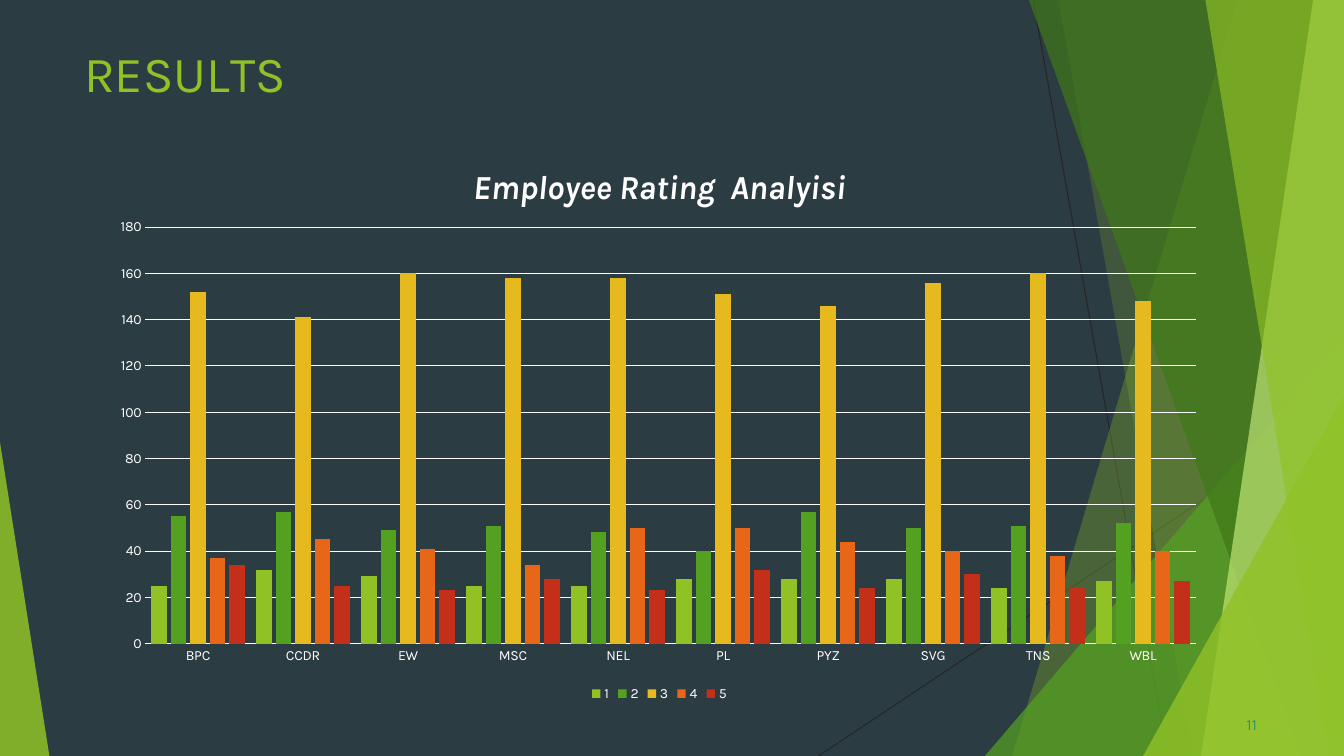
from lxml import etree
from pptx import Presentation
from pptx.chart.data import CategoryChartData
from pptx.dml.color import RGBColor
from pptx.enum.chart import XL_CHART_TYPE, XL_LEGEND_POSITION, XL_TICK_MARK
from pptx.enum.shapes import MSO_CONNECTOR, MSO_SHAPE
from pptx.enum.text import MSO_ANCHOR, PP_ALIGN
from pptx.oxml import parse_xml
from pptx.oxml.ns import nsdecls, qn
from pptx.util import Pt

COLUMNS = XL_CHART_TYPE.COLUMN_CLUSTERED
BOTTOM = XL_LEGEND_POSITION.BOTTOM
NO_TICK = XL_TICK_MARK.NONE
STRAIGHT = MSO_CONNECTOR.STRAIGHT
TRIANGLE = MSO_SHAPE.ISOSCELES_TRIANGLE
TOP = MSO_ANCHOR.TOP
LEFT = PP_ALIGN.LEFT

WIDTH, HEIGHT = 960, 540
FONT = "Karla"
COLORS = {
    "slate": "2C3C43", "ink": "262626", "white": "FFFFFF", "teal": "2D936B",
    "lime": "90C226", "green": "54A021", "forest": "3F7819", "pale": "C0E474",
    "gold": "E6B91E", "orange": "E76618", "red": "C42F1A",
}

DEPARTMENTS = ["BPC", "CCDR", "EW", "MSC", "NEL", "PL", "PYZ", "SVG", "TNS", "WBL"]
RATINGS = [
    ("1", "lime", [25, 32, 29, 25, 25, 28, 28, 28, 24, 27]),
    ("2", "green", [55, 57, 49, 51, 48, 40, 57, 50, 51, 52]),
    ("3", "gold", [152, 141, 160, 158, 158, 151, 146, 156, 160, 148]),
    ("4", "orange", [37, 45, 41, 34, 50, 50, 44, 40, 38, 40]),
    ("5", "red", [34, 25, 23, 28, 23, 32, 24, 30, 24, 27]),
]


class Deck:
    """Holds the style and the current slide."""

    def __init__(self, prs):
        prs.slide_width, prs.slide_height = Pt(WIDTH), Pt(HEIGHT)
        self.s = prs.slides.add_slide(prs.slide_layouts[5])
        self.paint(self.s.background.fill, "slate")

    def rgb(self, color):
        return RGBColor.from_string(COLORS[color])

    def paint(self, fill, color, opacity=100):
        fill.solid()
        fill.fore_color.rgb = self.rgb(color)
        if opacity < 100:
            clr = fill._xPr.find(qn("a:solidFill"))[0]
            etree.SubElement(clr, qn("a:alpha")).set("val", str(opacity * 1000))

    def style(self, font, size, color):
        font.name, font.size = FONT, Pt(size)
        font.color.rgb = self.rgb(color)

    def finish(self, sp, color, opacity):
        sp.shadow.inherit = False
        self.paint(sp.fill, color, opacity)
        sp.line.fill.background()

    def line(self, x1, y1, x2, y2):
        cxn = self.s.shapes.add_connector(STRAIGHT, Pt(x1), Pt(y1), Pt(x2), Pt(y2))
        cxn.line.color.rgb = self.rgb("ink")
        cxn.line.width = Pt(0.75)
        etree.SubElement(cxn._element.spPr, qn("a:effectLst"))

    def band(self, x_top, x_bottom, color, opacity):
        """Full-height band from a slanted edge to the right side."""
        fb = self.s.shapes.build_freeform(Pt(x_top), 0)
        fb.add_line_segments([(Pt(WIDTH), 0), (Pt(WIDTH), Pt(HEIGHT)),
                              (Pt(x_bottom), Pt(HEIGHT))])
        self.finish(fb.convert_to_shape(), color, opacity)

    def corner(self, x, y, w, apex, color, opacity):
        """Triangle standing on the bottom edge."""
        sp = self.s.shapes.add_shape(TRIANGLE, Pt(x), Pt(y), Pt(w), Pt(HEIGHT - y))
        sp.adjustments[0] = apex
        self.finish(sp, color, opacity)

    def set_text(self, sp, box, pieces, size, color):
        """Fill a shape with (text, letter spacing) pieces."""
        sp.left, sp.top, sp.width, sp.height = map(Pt, box)
        tf = sp.text_frame
        tf.word_wrap = True
        tf.vertical_anchor = TOP
        tf.margin_left = tf.margin_right = tf.margin_bottom = 0
        tf.margin_top = Pt(0.9)
        p = tf.paragraphs[0]
        p.alignment = LEFT
        p.space_before = Pt(1)
        self.style(p.font, size, color)
        for text, spacing in pieces:
            r = p.add_run()
            r.text = text
            r.font._element.set("spc", str(spacing))

    def title(self, box, pieces):
        self.set_text(self.s.shapes.title, box, pieces, 36, "lime")

    def page_number(self, box, text):
        self.set_text(self.s.shapes.add_textbox(0, 0, 0, 0), box, [(text, 10)], 11, "teal")

    def chart(self, box, title, cats, series, plot):
        data = CategoryChartData()
        data.categories = cats
        for name, _, values in series:
            data.add_series(name, values)
        chart = self.s.shapes.add_chart(COLUMNS, *map(Pt, box), data).chart
        self.style(chart.font, 10, "white")

        # Chart title
        p = chart.chart_title.text_frame.paragraphs[0]
        r = p.add_run()
        r.text = title
        self.style(p.font, 24, "white")
        p.font.bold = p.font.italic = True
        chart.chart_title.include_in_layout = False

        # Legend
        chart.has_legend = True
        chart.legend.position = BOTTOM
        chart.legend.include_in_layout = False

        # Axes
        cat, val = chart.category_axis, chart.value_axis
        cat.major_tick_mark = val.major_tick_mark = NO_TICK
        val.minimum_scale, val.maximum_scale, val.major_unit = 0, 180, 20
        val.has_major_gridlines = True
        val.format.line.fill.background()
        for line in (cat.format.line, val.major_gridlines.format.line):
            line.color.rgb = self.rgb("white")
            line.width = Pt(0.75)

        # Columns
        columns = chart.plots[0]
        columns.gap_width, columns.overlap = 75, -25
        columns.vary_by_categories = False
        for ser, (_, color, _) in zip(columns.series, series):
            self.paint(ser.format.fill, color)
            ser.invert_if_negative = False

        # Inner plot area as fractions of the chart
        parts = "".join(f'<c:{k} val="{v}"/>' for k, v in zip("xywh", plot))
        area = chart._chartSpace.chart.plotArea
        for old in area.findall(qn("c:layout")):
            area.remove(old)
        area.insert(0, parse_xml(
            f'<c:layout {nsdecls("c")}><c:manualLayout><c:layoutTarget val="inner"/>'
            f'<c:xMode val="edge"/><c:yMode val="edge"/>{parts}'
            '</c:manualLayout></c:layout>'))


def main():
    prs = Presentation()
    deck = Deck(prs)

    # Faceted backdrop
    deck.line(738, 0, 834, HEIGHT)
    deck.line(WIDTH, 290, 584.6, HEIGHT)
    deck.band(884, 723, "lime", 30)
    deck.band(756, 852, "lime", 20)
    deck.corner(703.5, 240, 256.5, 1, "green", 72)
    deck.band(735, 929.5, "forest", 70)
    deck.band(938, 858, "pale", 70)
    deck.band(861, 949, "lime", 65)
    deck.corner(816.5, 283, 143.5, 1, "lime", 80)
    deck.corner(0, 316, 35.3, 0, "lime", 85)

    # Heading and page number
    deck.title((60, 29.5, 192, 49), [("RESU", 0), ("L", -400), ("TS", 0)])
    deck.page_number((890.5, 510, 18, 13.5), "11")

    # Ratings by department
    deck.chart((72, 102, 798, 402), "Employee Rating  Analyisi", DEPARTMENTS,
               RATINGS, (0.04, 0.15, 0.94, 0.74))

    prs.save("out.pptx")


if __name__ == "__main__":
    main()
